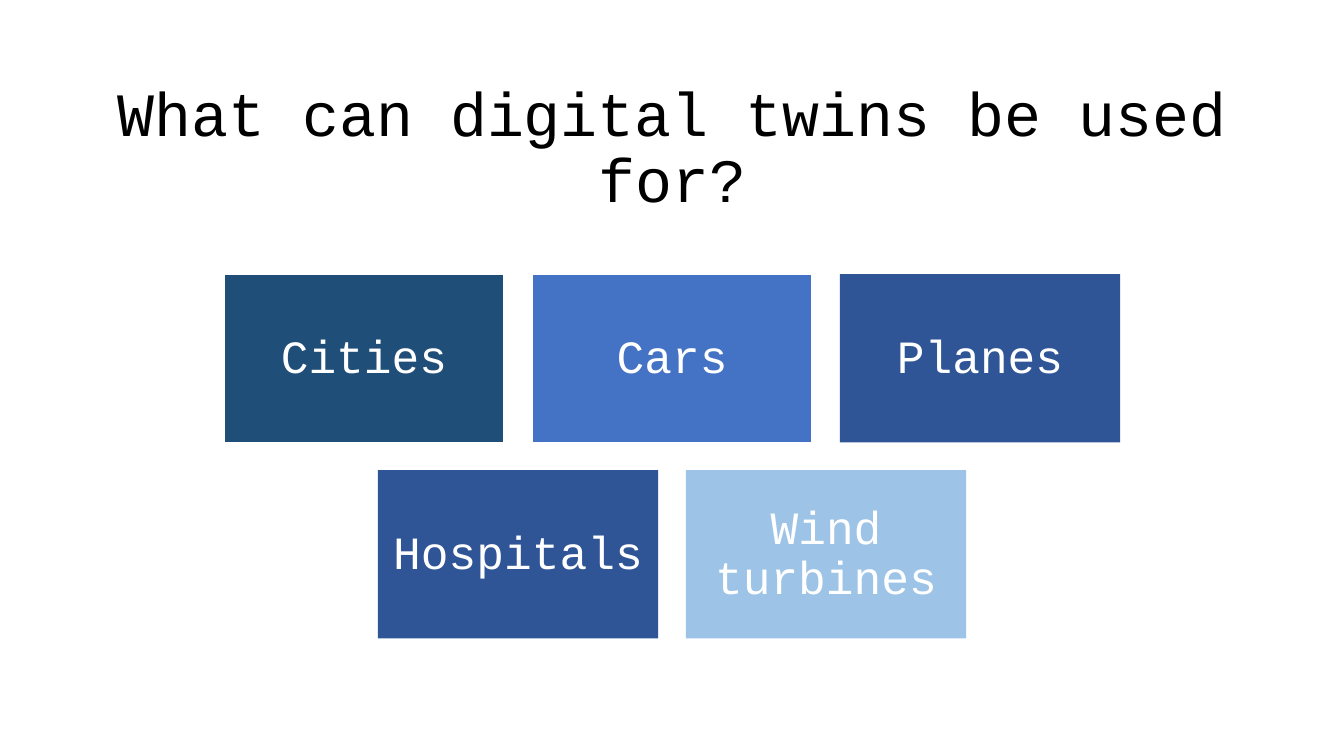
import pptx
import pptx.util
import pptx.dml.color
import pptx.enum.shapes
import pptx.enum.text
from dataclasses import dataclass

# Content: rows of tiles, each with its label, fill key and whether it is edged
TITLE = "What can digital twins be used for?"
ROWS = [
    [("Cities", "navy", True), ("Cars", "blue", True), ("Planes", "deep", False)],
    [("Hospitals", "deep", False), ("Wind turbines", "sky", False)],
]


@dataclass
class Theme:
    font = "Courier New"
    head = 44
    label = 33
    lead = 0.9
    edge = 1
    color = {"navy": "1F4E79", "blue": "4472C4", "deep": "2F5597",
             "sky": "9DC3E6", "white": "FFFFFF", "black": "000000"}


# Slide and grid measures in inches
WIDE, HIGH = 13.33, 7.5
TILE_W, TILE_H, GAP = 2.78, 1.67, 0.275
TOP, INSET = 2.72, 0.14

inch = pptx.util.Inches


def tint(key):
    return pptx.dml.color.RGBColor.from_string(Theme.color[key])


def write(frame, text, size, key, inset=None):
    frame.word_wrap = True
    frame.auto_size = pptx.enum.text.MSO_AUTO_SIZE.NONE
    frame.vertical_anchor = pptx.enum.text.MSO_ANCHOR.MIDDLE
    if inset is not None:
        frame.margin_left = frame.margin_right = inch(inset)
        frame.margin_top = frame.margin_bottom = inch(inset)
    para = frame.paragraphs[0]
    para.alignment = pptx.enum.text.PP_ALIGN.CENTER
    para.line_spacing = Theme.lead
    run = para.add_run()
    run.text = text
    run.font.name = Theme.font
    run.font.size = pptx.util.Pt(size)
    run.font.color.rgb = tint(key)


def add_tile(slide, left, top, label, key, edged):
    tile = slide.shapes.add_shape(
        pptx.enum.shapes.MSO_SHAPE.RECTANGLE,
        inch(left), inch(top), inch(TILE_W), inch(TILE_H))
    tile.shadow.inherit = False
    tile.fill.solid()
    tile.fill.fore_color.rgb = tint(key)
    if edged:
        tile.line.color.rgb = tint("white")
        tile.line.width = pptx.util.Pt(Theme.edge)
    else:
        tile.line.fill.background()
    write(tile.text_frame, label, Theme.label, "white", INSET)


def main():
    deck = pptx.Presentation()
    deck.slide_width, deck.slide_height = inch(WIDE), inch(HIGH)
    slide = deck.slides.add_slide(deck.slide_layouts[5])

    # Title
    title = slide.shapes.title
    title.left, title.top = inch(0.92), inch(0.76)
    title.width, title.height = inch(11.5), inch(1.45)
    write(title.text_frame, TITLE, Theme.head, "black")

    # Tiles, each row centred on the slide
    for r, row in enumerate(ROWS):
        span = len(row) * (TILE_W + GAP) - GAP
        for c, (label, key, edged) in enumerate(row):
            left = (WIDE - span) / 2 + c * (TILE_W + GAP)
            add_tile(slide, left, TOP + r * (TILE_H + GAP), label, key, edged)

    deck.save("out.pptx")


if __name__ == "__main__":
    main()
